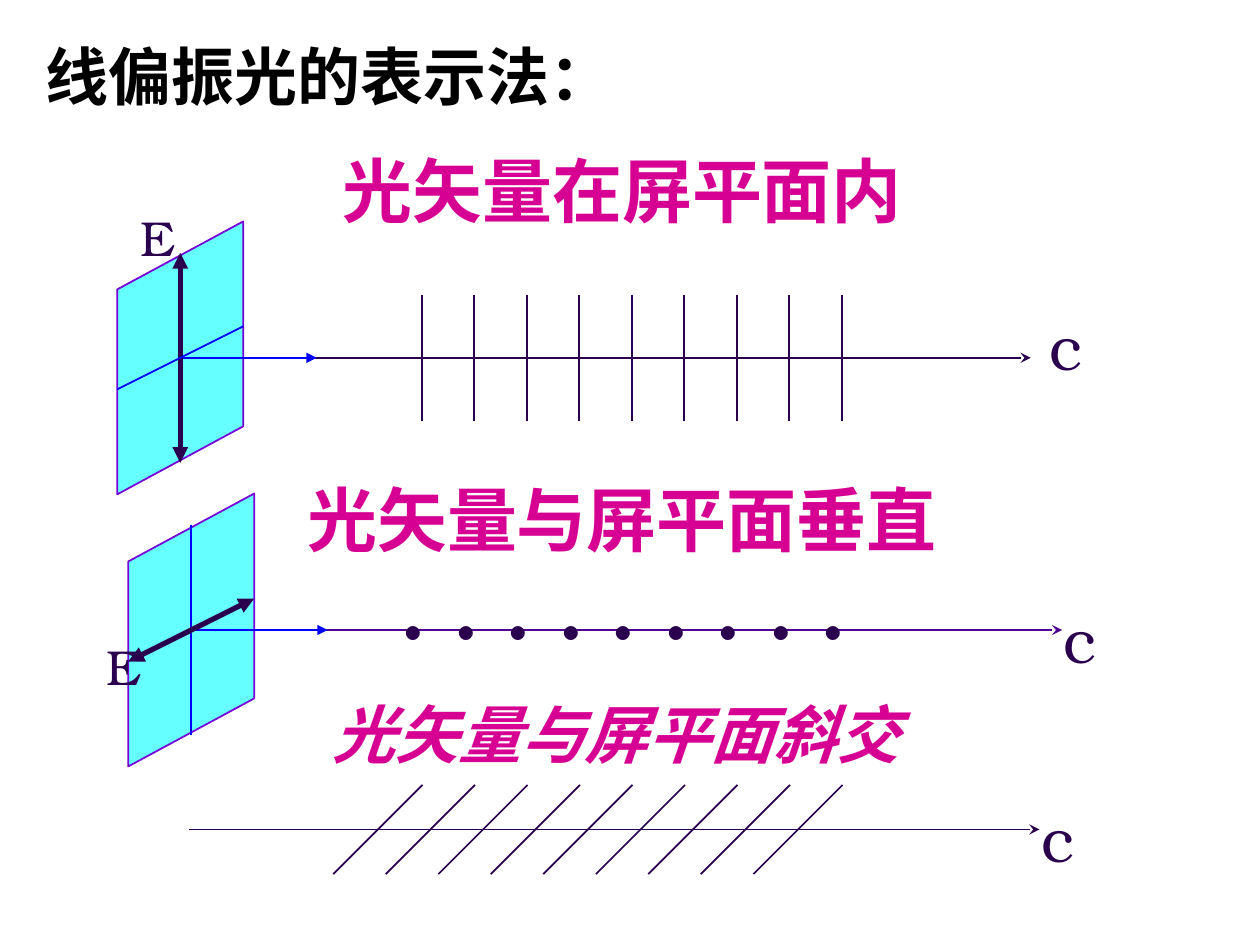
from lxml import etree
from pptx import Presentation
from pptx.dml.color import RGBColor
from pptx.enum.shapes import MSO_CONNECTOR, MSO_SHAPE
from pptx.enum.text import MSO_ANCHOR, MSO_AUTO_SIZE, PP_ALIGN
from pptx.oxml.ns import qn
from pptx.util import Pt

STRAIGHT = MSO_CONNECTOR.STRAIGHT
PARALLELOGRAM = MSO_SHAPE.PARALLELOGRAM
TOP = MSO_ANCHOR.TOP
LEFT = PP_ALIGN.LEFT
FIT_SHAPE = MSO_AUTO_SIZE.SHAPE_TO_FIT_TEXT

HAN = "Noto Sans CJK SC"
SERIF = "TeX Gyre Bonum"
COLORS = {
    "title": "000000",
    "heading": "D60093",
    "ink": "2A004E",
    "axis": "500093",
    "plate": "66FFFF",
    "edge": "7500D7",
    "ray": "0000FF",
}
MARKS = 9
STEP = 30


def color(name):
    return RGBColor.from_string(COLORS[name])


def write(shape, box, text, size, font, tint, bold=False, italic=False):
    """Place a text shape and fill it with one unwrapped line."""
    shape.left, shape.top, shape.width, shape.height = map(Pt, box)
    frame = shape.text_frame
    frame.word_wrap = False
    frame.auto_size = FIT_SHAPE
    frame.vertical_anchor = TOP
    para = frame.paragraphs[0]
    para.alignment = LEFT
    span = para.add_run()
    span.text = text
    span.font.name = font
    span.font.size = Pt(size)
    span.font.bold = bold
    span.font.italic = italic
    span.font.color.rgb = color(tint)
    east_asian = etree.Element(qn("a:ea"), typeface=HAN)
    span.font._element.find(qn("a:latin")).addnext(east_asian)


def add_text(page, box, *args, **kwargs):
    shape = page.shapes.add_textbox(*map(Pt, box))
    write(shape, box, *args, **kwargs)


def add_line(page, start, end, tint="ink", width=1, head=None, tail=None):
    line = page.shapes.add_connector(STRAIGHT, *map(Pt, (*start, *end)))
    line.line.color.rgb = color(tint)
    line.line.width = Pt(width)
    properties = line._element.spPr
    outline = properties.find(qn("a:ln"))
    for tag, arrow in (("a:headEnd", head), ("a:tailEnd", tail)):
        if arrow:
            etree.SubElement(outline, qn(tag), type=arrow)
    etree.SubElement(properties, qn("a:effectLst"))


def add_title(page, box, text):
    write(page.shapes.title, box, text, 36, SERIF, "title", bold=True)


def add_axis(page, box, tint="ink"):
    """Draw the propagation axis through the middle of the box."""
    left, top, width, height = box
    y = top + height / 2
    add_line(page, (left, y), (left + width, y), tint, tail="stealth")


def add_ticks(page, box, slant=0):
    """Draw evenly spaced ticks as tall as the box, leaning right by slant."""
    left, top, width, height = box
    for index in range(MARKS):
        x = left + index * STEP
        add_line(page, (x + slant, top), (x, top + height))


def add_dots(page, box):
    left, top, width, height = box
    for index in range(MARKS):
        add_text(page, (left + index * STEP, top, width, height),
                 ".", 44, SERIF, "ink", bold=True)


def add_plate(page, box, vertical_field):
    """Draw the screen plate, its two crossing lines and the outgoing ray."""
    left, top, width, height = box
    x, y = left + width / 2, top + height / 2
    plate = page.shapes.add_shape(
        PARALLELOGRAM, Pt(x - height / 2), Pt(y - width / 2),
        Pt(height), Pt(width))
    plate.adjustments[0] = 0.54
    plate.rotation = 270
    plate._element.spPr.xfrm.set("flipH", "1")
    plate.shadow.inherit = False
    plate.fill.solid()
    plate.fill.fore_color.rgb = color("plate")
    plate.line.color.rgb = color("edge")
    plate.line.width = Pt(1)

    field = {"tint": "ink", "width": 3, "head": "triangle", "tail": "triangle"}
    thin = {"tint": "ray"}
    add_line(page, (x, y), (x + 78, y), "ray", tail="triangle")
    add_line(page, (x, y - 60), (x, y + 60),
             **(field if vertical_field else thin))
    add_line(page, (left, y + width / 4), (left + width, y - width / 4),
             **(thin if vertical_field else field))


def main():
    deck = Presentation()
    deck.slide_width, deck.slide_height = Pt(720), Pt(540)
    page = deck.slides.add_slide(deck.slide_layouts[5])
    add_title(page, (18.7, 18, 338, 50.4), "线偏振光的表示法：")

    # Light vector within the screen plane
    add_axis(page, (103, 168.5, 486, 72))
    add_ticks(page, (241, 168.5, 240, 72))
    add_text(page, (188.6, 80.6, 334, 55.4), "光矢量在屏平面内",
             40, HAN, "heading", bold=True)
    add_plate(page, (67, 126.5, 72, 156), vertical_field=True)

    # Light vector perpendicular to the screen plane
    add_axis(page, (121, 324, 486, 72), "axis")
    add_dots(page, (221.8, 318.2, 29.5, 59.8))
    add_text(page, (168.5, 268.6, 374.4, 55.4), "光矢量与屏平面垂直",
             40, HAN, "heading", bold=True)
    add_plate(page, (73.3, 282, 72, 156), vertical_field=False)

    # Light vector oblique to the screen plane
    add_axis(page, (108, 448.5, 486, 51))
    add_ticks(page, (190.5, 448.5, 240, 51), slant=51)
    add_text(page, (182.9, 393.8, 338.4, 50.4), "光矢量与屏平面斜交",
             36, HAN, "heading", bold=True, italic=True)

    for left, top in ((592.6, 172.1), (600.5, 339.8), (588.2, 453.6)):
        add_text(page, (left, top, 33.1, 50.4), "c", 36, SERIF, "ink")
    for left, top in ((73.4, 115.2), (54, 360)):
        add_text(page, (left, top, 34.6, 41), "E", 28, SERIF, "ink")

    deck.save("out.pptx")


if __name__ == "__main__":
    main()
